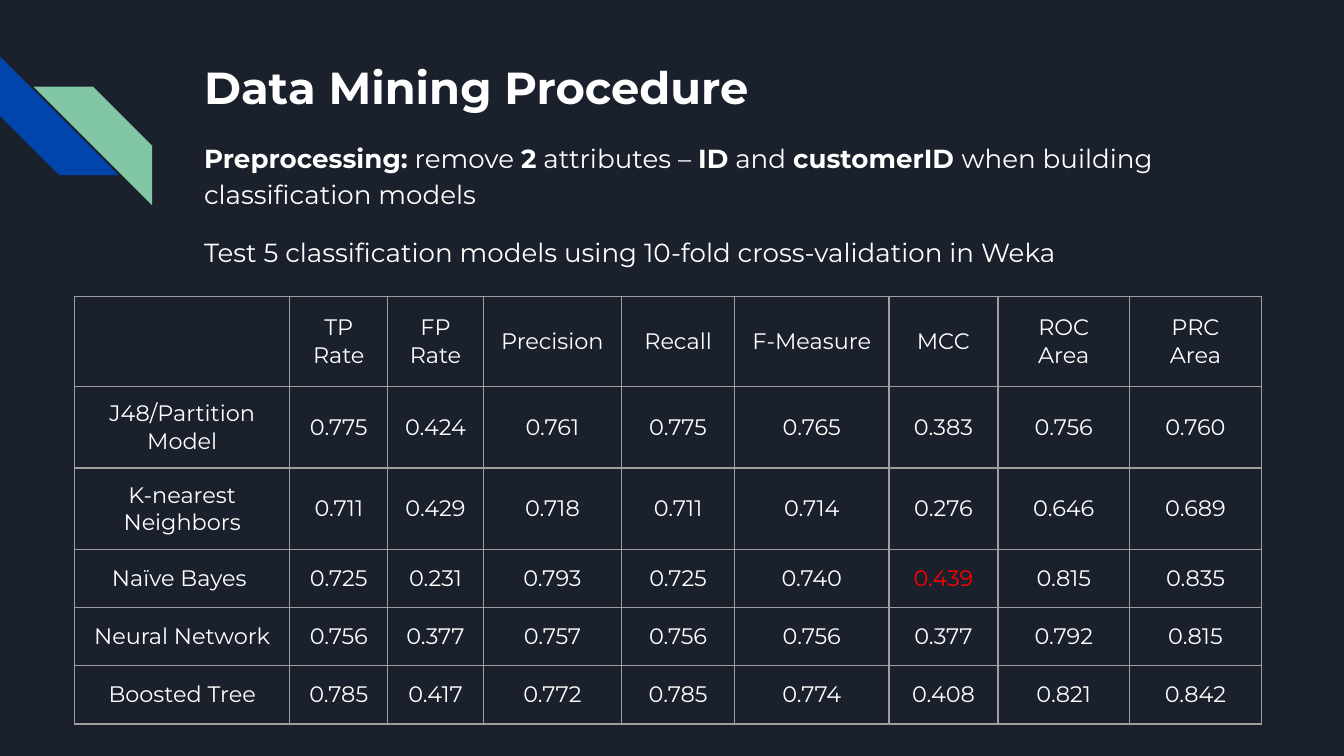
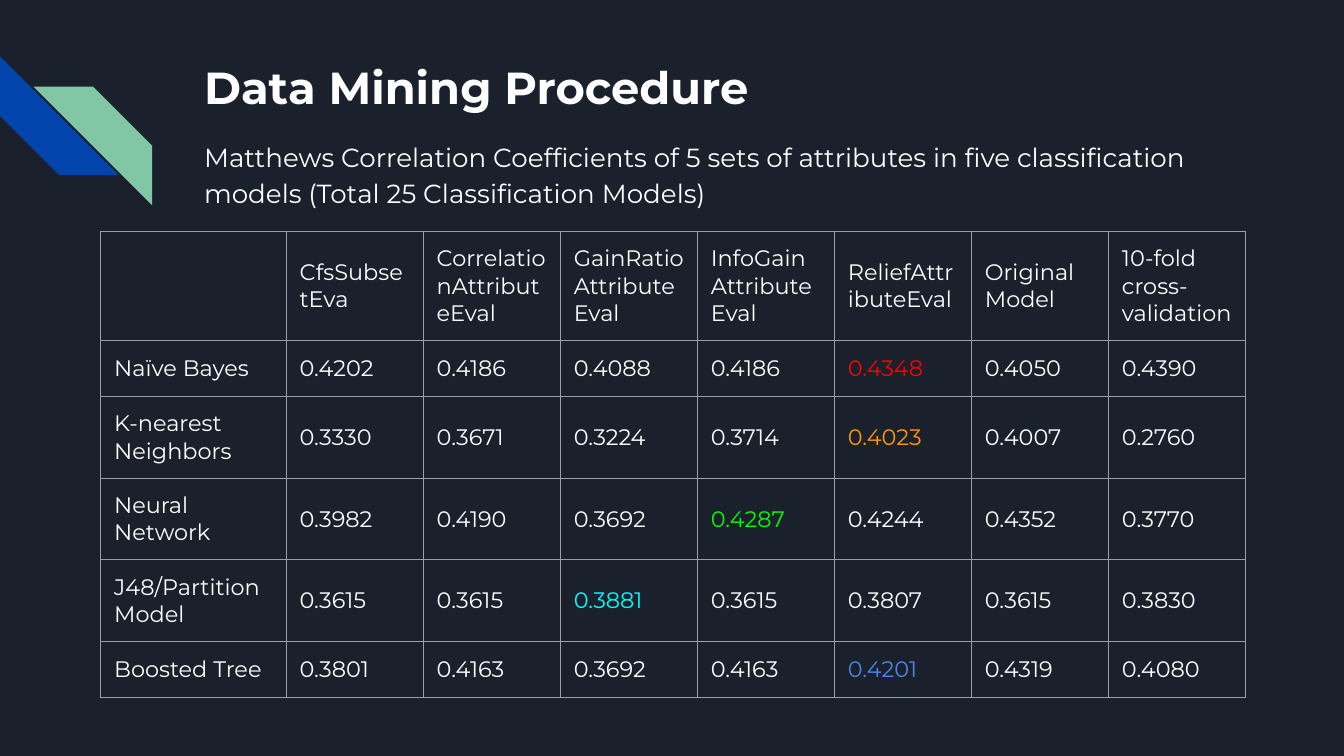
"""Builds two dark slides that compare classification models in tables."""
from copy import deepcopy

from lxml.etree import SubElement
from pptx import Presentation
from pptx.dml.color import RGBColor
from pptx.enum.shapes import MSO_SHAPE
from pptx.enum.text import MSO_ANCHOR, PP_ALIGN
from pptx.oxml.ns import qn
from pptx.util import Inches, Pt

COLOURS = {
    "background": "1B212C", "blue": "0145AC", "mint": "82C7A5",
    "text": "FFFFFF", "border": "9E9E9E", "red": "FF0000",
    "orange": "FF9900", "green": "00FF00", "cyan": "00FFFF",
    "sky": "4A86E8",
}
FONT = "Montserrat"
UNIT = Inches(0.1)
COLUMNS, ROWS = 100, 56.25
TEXT_LEFT = 14.2
STRIPE = 8.83

PAGES = [
    {
        "intro_box": (TEXT_LEFT, 9.23, 79.7, 44.1),
        "intro": [
            [("Preprocessing:", True), (" remove ", False), ("2", True),
             (" attributes – ", False), ("ID", True), (" and ", False),
             ("customerID ", True),
             ("when building classification models", False)],
            [("Test 5 classification models using 10-fold "
              "cross-validation in Weka", False)],
        ],
        "origin": (5.56, 22.06),
        "widths": [16, 7.3, 7.1, 10.3, 8.4, 11.5, 8.1, 9.8, 9.8],
        "heights": [6.7, 6.07, 6.07, 4.33, 4.33, 4.33],
        "align": PP_ALIGN.CENTER,
        "scores": [
            ["", "TP Rate", "FP Rate", "Precision", "Recall", "F-Measure",
             "MCC", "ROC Area", "PRC Area"],
            ["J48/Partition Model", "0.775", "0.424", "0.761", "0.775",
             "0.765", "0.383", "0.756", "0.760"],
            ["K-nearest Neighbors", "0.711", "0.429", "0.718", "0.711",
             "0.714", "0.276", "0.646", "0.689"],
            ["Naïve Bayes ", "0.725", "0.231", "0.793", "0.725",
             "0.740", "0.439", "0.815", "0.835"],
            ["Neural Network", "0.756", "0.377", "0.757", "0.756",
             "0.756", "0.377", "0.792", "0.815"],
            ["Boosted Tree", "0.785", "0.417", "0.772", "0.785",
             "0.774", "0.408", "0.821", "0.842"],
        ],
        "highlights": {(3, 6): "red"},
    },
    {
        "intro_box": (TEXT_LEFT, 9.15, 79.7, 7.4),
        "intro": [
            [("Matthews Correlation Coefficients of 5 sets of attributes in "
              "five classification models (Total 25 Classification Models)",
              False)],
        ],
        "origin": (7.5, 17.23),
        "widths": [13.8] + [10.2] * 7,
        "heights": [8.1, 4.2, 6.07, 6.07, 6.07, 4.2],
        "align": PP_ALIGN.LEFT,
        "scores": [
            ["", "CfsSubsetEva", "CorrelationAttributeEval",
             "GainRatio\vAttribute\vEval", "InfoGain\vAttribute\vEval",
             "ReliefAttributeEval", "Original\vModel",
             "10-fold cross-validation"],
            ["Naïve Bayes", "0.4202", "0.4186", "0.4088", "0.4186",
             "0.4348", "0.4050", "0.4390"],
            ["K-nearest Neighbors", "0.3330", "0.3671", "0.3224", "0.3714",
             "0.4023", "0.4007", "0.2760"],
            ["Neural Network", "0.3982", "0.4190", "0.3692", "0.4287",
             "0.4244", "0.4352", "0.3770"],
            ["J48/Partition Model", "0.3615", "0.3615", "0.3881", "0.3615",
             "0.3807", "0.3615", "0.3830"],
            ["Boosted Tree", "0.3801", "0.4163", "0.3692", "0.4163",
             "0.4201", "0.4319", "0.4080"],
        ],
        "highlights": {(1, 5): "red", (2, 5): "orange", (3, 4): "green",
                       (4, 3): "cyan", (5, 5): "sky"},
    },
]


def grid(*steps):
    """Turn grid steps into lengths."""
    return [round(step * UNIT) for step in steps]


def style(run, size, colour="text", bold=False):
    """Give a run its font."""
    run.font.name, run.font.size, run.font.bold = FONT, Pt(size), bold
    run.font.color.rgb = RGBColor.from_string(COLOURS[colour])


deck = Presentation()
deck.slide_width, deck.slide_height = grid(COLUMNS, ROWS)

for page in PAGES:
    slide = deck.slides.add_slide(deck.slide_layouts[6])
    slide.background.fill.solid()
    slide.background.fill.fore_color.rgb = RGBColor.from_string(
        COLOURS["background"])

    for left, top, colour in [(0, 4.2, "blue"), (2.5, 6.44, "mint")]:
        stripe = slide.shapes.add_shape(
            MSO_SHAPE.DIAGONAL_STRIPE, *grid(left, top, STRIPE, STRIPE))
        stripe.shadow.inherit = False
        stripe.fill.solid()
        stripe.fill.fore_color.rgb = RGBColor.from_string(COLOURS[colour])
        stripe.line.fill.background()
        if colour == "blue":
            stripe.rotation = 270
        else:
            stripe.element.spPr.find(qn("a:xfrm")).set("flipH", "1")

    heading = [[("Data Mining Procedure", True)]]
    for box, paragraphs, size in [
            ((TEXT_LEFT, 2.85, 77, 6.3), heading, 24),
            (page["intro_box"], page["intro"], 14)]:
        frame = slide.shapes.add_textbox(*grid(*box)).text_frame
        frame.word_wrap = True
        frame.margin_left = frame.margin_right = UNIT
        frame.margin_top = frame.margin_bottom = UNIT
        for index, pieces in enumerate(paragraphs):
            paragraph = frame.add_paragraph() if index else frame.paragraphs[0]
            paragraph.line_spacing = 1.15
            paragraph.space_before = Pt(12 if index else 0)
            for words, bold in pieces:
                run = paragraph.add_run()
                run.text = words
                style(run, size, bold=bold)

    widths, heights = grid(*page["widths"]), grid(*page["heights"])
    scores = slide.shapes.add_table(
        len(heights), len(widths), *grid(*page["origin"]),
        sum(widths), sum(heights)).table
    scores.first_row = scores.horz_banding = False
    for column, width in zip(scores.columns, widths):
        column.width = width
    for row, height in zip(scores.rows, heights):
        row.height = height

    for row, values in enumerate(page["scores"]):
        for column, value in enumerate(values):
            cell = scores.cell(row, column)
            cell.vertical_anchor = MSO_ANCHOR.MIDDLE
            cell.margin_left = cell.margin_right = UNIT
            cell.margin_top = cell.margin_bottom = UNIT
            paragraph = cell.text_frame.paragraphs[0]
            paragraph.text = value
            paragraph.alignment = page["align"]
            for run in paragraph.runs:
                style(run, 12, page["highlights"].get((row, column), "text"))
            for line_break in paragraph._p.findall(qn("a:br")):
                line_break.insert(0, deepcopy(paragraph.runs[0].font._rPr))
            properties = cell._tc.get_or_add_tcPr()
            for side in ("a:lnL", "a:lnR", "a:lnT", "a:lnB"):
                border = SubElement(properties, qn(side), w=str(Pt(0.75)))
                fill = SubElement(border, qn("a:solidFill"))
                SubElement(fill, qn("a:srgbClr"), val=COLOURS["border"])
            cell.fill.background()

deck.save("out.pptx")
